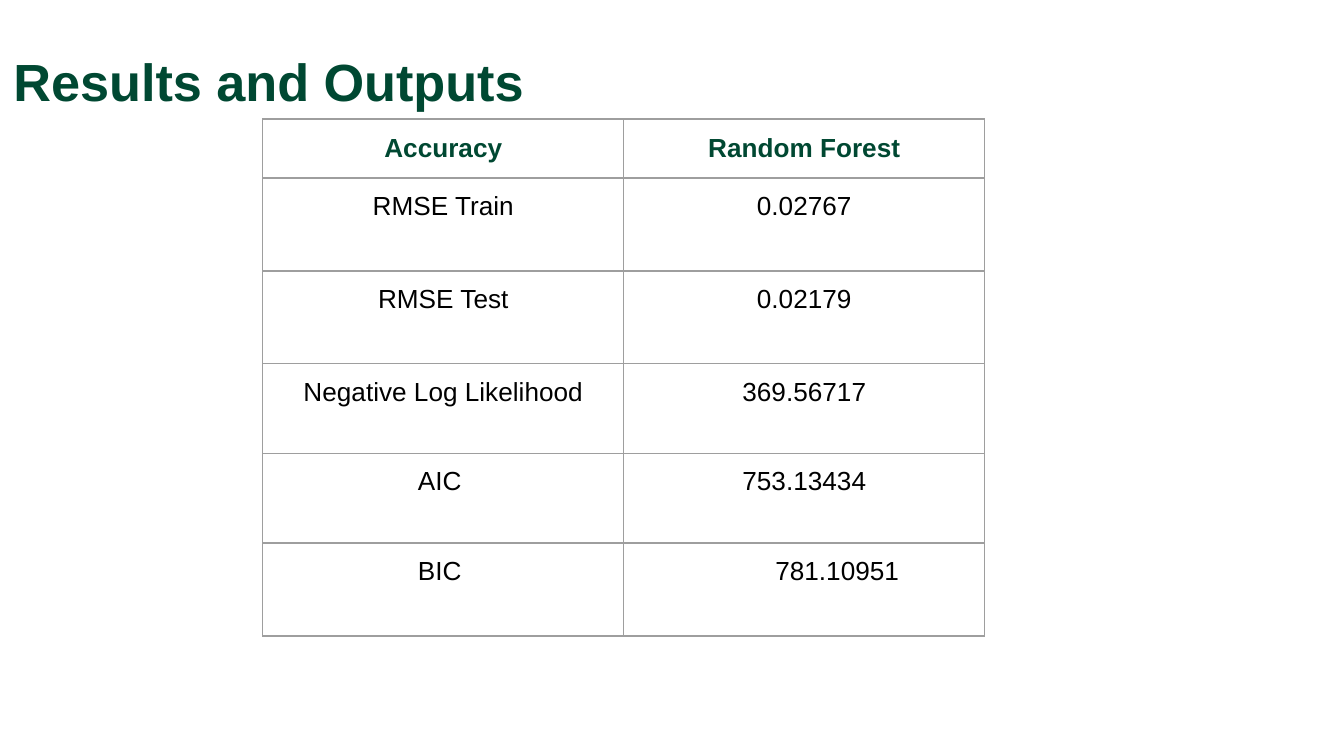
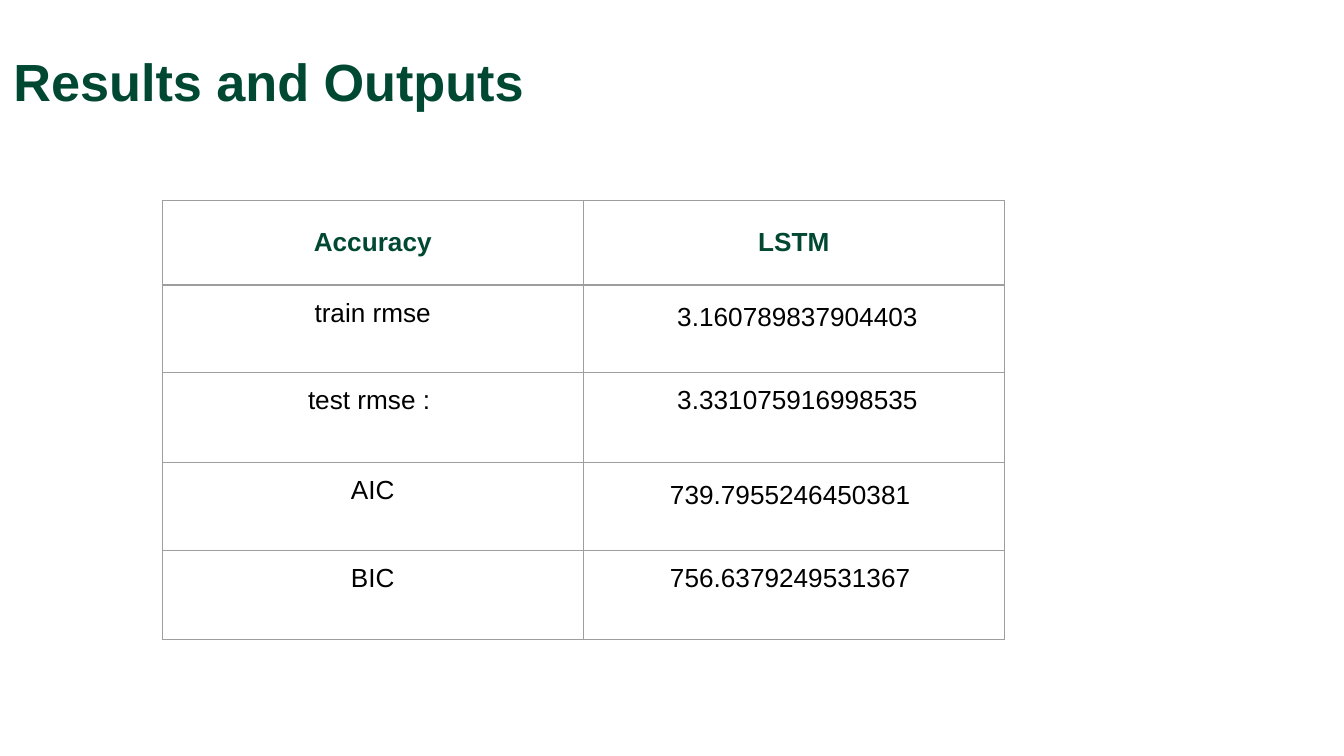
"""Build two slides of model accuracy tables."""
from lxml import etree
from pptx import Presentation
from pptx import util as u
from pptx.dml import color
from pptx.enum import text as t
from pptx.oxml import ns

GREEN, BLACK, GREY = "004832", "000000", "9E9E9E"
INSET = 7.2


def write(frame, text, tint=BLACK, size=14, bold=False, align=t.PP_ALIGN.CENTER, spacing=1.0):
    """Put one formatted line of text in a frame."""
    para = frame.paragraphs[0]
    para.alignment = align
    para.line_spacing = spacing
    span = para.add_run()
    span.text = text
    span.font.name = "Arial"
    span.font.size = u.Pt(size)
    span.font.bold = bold
    span.font.color.rgb = color.RGBColor.from_string(tint)


def draw_borders(cell):
    """Draw a thin grey line on each side of a cell."""
    props = cell._tc.get_or_add_tcPr()
    for side in ("a:lnL", "a:lnR", "a:lnT", "a:lnB"):
        line = etree.SubElement(props, ns.qn(side), w=str(u.Pt(0.75)))
        fill = etree.SubElement(line, ns.qn("a:solidFill"))
        etree.SubElement(fill, ns.qn("a:srgbClr"), val=GREY)


pages = [
    {
        "title_width": 385.2,
        "left": 140.8, "top": 63.8, "column": 193.4,
        "heights": [31.6, 49.8, 49.8, 48, 48, 49.8],
        "rows": [
            ("Accuracy", "Random Forest"),
            ("RMSE Train", "0.02767"),
            ("RMSE Test", "0.02179"),
            ("Negative Log Likelihood", "369.56717"),
            ("AIC ", "753.13434"),
            ("BIC ", "781.10951"),
        ],
        "indents": {(5, 1): 74},
        "loose": [],
    },
    {
        "title_width": 332.6,
        "left": 86.9, "top": 107.4, "column": 225.6,
        "heights": [45.3, 46.9, 48.2, 47.1, 47.7],
        "rows": [
            ("Accuracy", "LSTM"),
            ("train rmse", " 3.160789837904403"),
            ("test rmse : ", " 3.331075916998535"),
            ("AIC", "739.7955246450381 "),
            ("BIC", "756.6379249531367 "),
        ],
        "indents": {},
        "loose": [(1, 1), (3, 1)],
    },
]

deck = Presentation()
deck.slide_width, deck.slide_height = u.Pt(720), u.Pt(405)

for content in pages:
    page = deck.slides.add_slide(deck.slide_layouts[5])
    title = page.shapes.title
    title.left, title.top = u.Pt(0), u.Pt(15.8)
    title.width, title.height = u.Pt(content["title_width"]), u.Pt(45.4)
    frame = title.text_frame
    frame.auto_size = t.MSO_AUTO_SIZE.NONE
    frame.word_wrap = True
    frame.vertical_anchor = t.MSO_ANCHOR.TOP
    frame.margin_left = frame.margin_right = frame.margin_bottom = u.Pt(INSET)
    frame.margin_top = u.Pt(10.8)
    write(frame, "Results and Outputs", tint=GREEN, size=28, bold=True, align=t.PP_ALIGN.LEFT)

    rows, heights = content["rows"], content["heights"]
    table = page.shapes.add_table(
        len(rows), 2, u.Pt(content["left"]), u.Pt(content["top"]),
        u.Pt(2 * content["column"]), u.Pt(sum(heights))).table
    table.first_row = table.horz_banding = False
    for column in table.columns:
        column.width = u.Pt(content["column"])
    for r, (labels, height) in enumerate(zip(rows, heights)):
        table.rows[r].height = u.Pt(height)
        header = r == 0
        for c, label in enumerate(labels):
            cell = table.cell(r, c)
            draw_borders(cell)
            cell.fill.background()
            indent = content["indents"].get((r, c), 0)
            cell.margin_left = u.Pt(INSET + indent)
            cell.margin_right = cell.margin_top = cell.margin_bottom = u.Pt(INSET)
            cell.vertical_anchor = t.MSO_ANCHOR.MIDDLE if header else t.MSO_ANCHOR.TOP
            write(cell.text_frame, label, tint=GREEN if header else BLACK, bold=header,
                  align=t.PP_ALIGN.LEFT if indent else t.PP_ALIGN.CENTER,
                  spacing=1.15 if (r, c) in content["loose"] else 1.0)

deck.save("out.pptx")
